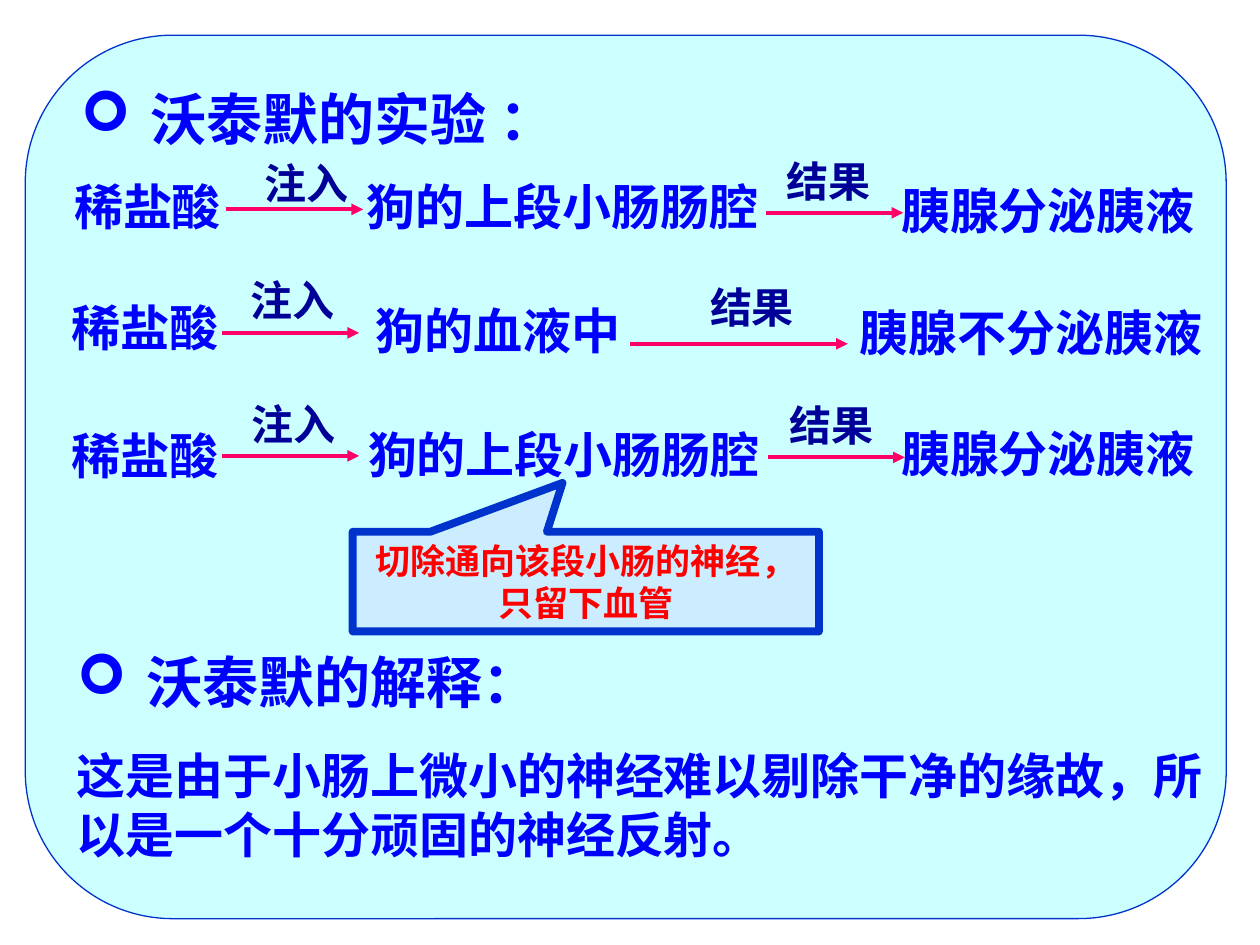
from typing import NamedTuple

from lxml.etree import SubElement
from pptx import Presentation
from pptx.dml.color import RGBColor
from pptx.enum.shapes import MSO_CONNECTOR as Conn, MSO_SHAPE as Shape
from pptx.enum.text import MSO_ANCHOR as Anchor, PP_ALIGN as Align
from pptx.oxml.ns import qn
from pptx.util import Cm, Pt

WHITE = RGBColor(0xFF, 0xFF, 0xFF)
CYAN = RGBColor(0xCC, 0xFF, 0xFF)
PALE_BLUE = RGBColor(0xCC, 0xEC, 0xFF)
BORDER = RGBColor(0x00, 0x33, 0xCC)
BLUE = RGBColor(0x00, 0x00, 0xFF)
NAVY = RGBColor(0x00, 0x00, 0x99)
PINK = RGBColor(0xFF, 0x00, 0x66)
RED = RGBColor(0xFF, 0x00, 0x00)
SANS = "Noto Sans CJK SC"
SERIF = "Times New Roman"


class Term(NamedTuple):
    text: str
    left: float
    top: float
    width: float


class Step(NamedTuple):
    text: str
    left: float
    top: float
    start: float
    end: float
    y: float


TERMS = [
    Term("稀盐酸", 1.07, 3.43, 3.81),
    Term("狗的上段小肠肠腔", 6.99, 3.43, 8.69),
    Term("胰腺分泌胰液", 17.53, 3.51, 7.19),
    Term("稀盐酸", 1.02, 5.87, 3.81),
    Term("狗的血液中", 6.96, 5.94, 6.15),
    Term("胰腺不分泌胰液", 16.87, 5.97, 7.82),
    Term("稀盐酸", 1.02, 8.46, 3.81),
    Term("狗的上段小肠肠腔", 6.96, 8.43, 8.81),
    Term("胰腺分泌胰液", 17.53, 8.41, 7.19),
]
STEPS = [
    Step("注入", 4.9, 3.05, 4.55, 7.32, 4.22),
    Step("结果", 15.44, 3.02, 15.44, 18.21, 4.29),
    Step("注入", 4.62, 5.41, 4.47, 7.24, 6.71),
    Step("结果", 13.89, 5.56, 12.7, 17.09, 6.93),
    Step("注入", 4.65, 7.9, 4.47, 7.24, 9.19),
    Step("结果", 15.49, 7.92, 15.49, 18.24, 9.22),
]


def add_run(p, text: str, size: int, color: RGBColor, font: str = SANS) -> None:
    r = p.add_run()
    r.text = text
    r.font.size = Pt(size)
    r.font.bold = True
    r.font.name = font
    r.font.color.rgb = color
    SubElement(r.font._element, qn("a:ea")).set("typeface", SANS)


def add_heading(p, text: str) -> None:
    p.alignment = Align.LEFT
    pPr = p._p.get_or_add_pPr()
    pPr.set("marL", str(Cm(1.4)))
    pPr.set("indent", str(-Cm(1.4)))
    color = SubElement(SubElement(pPr, qn("a:buClr")), qn("a:srgbClr"))
    color.set("val", str(BLUE))
    SubElement(pPr, qn("a:buFont")).set("typeface", "Wingdings")
    SubElement(pPr, qn("a:buChar")).set("char", "➢")
    add_run(p, text, 32, BLUE, SERIF)


def add_panel(s, kind: Shape, box: tuple, adjustments: list,
              fill: RGBColor, weight: float, anchor: Anchor):
    sp = s.shapes.add_shape(kind, *map(Cm, box))
    for i, value in enumerate(adjustments):
        sp.adjustments[i] = value
    sp.shadow.inherit = False
    sp.fill.solid()
    sp.fill.fore_color.rgb = fill
    sp.line.color.rgb = BORDER
    sp.line.width = Pt(weight)
    sp.text_frame.word_wrap = True
    sp.text_frame.vertical_anchor = anchor
    return sp.text_frame


def add_box(s, left: float, top: float, width: float, height: float):
    tf = s.shapes.add_textbox(Cm(left), Cm(top), Cm(width), Cm(height)).text_frame
    tf.word_wrap = True
    return tf


def add_label(s, text: str, box: tuple, size: int, color: RGBColor) -> None:
    p = add_box(s, *box).paragraphs[0]
    p.alignment = Align.CENTER
    add_run(p, text, size, color)


def add_step(s, step: Step) -> None:
    add_label(s, step.text, (step.left, step.top, 2.54, 1.27), 24, NAVY)
    line = s.shapes.add_connector(
        Conn.STRAIGHT, Cm(step.start), Cm(step.y), Cm(step.end), Cm(step.y))
    line.line.color.rgb = PINK
    line.line.width = Pt(2.25)
    SubElement(line.line._get_or_add_ln(), qn("a:tailEnd")).set("type", "triangle")
    SubElement(line._element.spPr, qn("a:effectLst"))


def main() -> None:
    prs = Presentation()
    prs.slide_width, prs.slide_height = Cm(25.4), Cm(19.05)
    s = prs.slides.add_slide(prs.slide_layouts[6])
    s.background.fill.solid()
    s.background.fill.fore_color.rgb = WHITE

    tf = add_panel(s, Shape.ROUNDED_RECTANGLE, (0.51, 0.71, 24.21, 17.81),
                   [0.167], CYAN, 0.75, Anchor.TOP)
    add_heading(tf.paragraphs[0], "沃泰默的实验 ：")

    for term in TERMS:
        add_label(s, term.text, (term.left, term.top, term.width, 1.45), 28, BLUE)
    for step in STEPS:
        add_step(s, step)

    tf = add_box(s, 1.3, 12.93, 23.22, 4.6)
    add_heading(tf.paragraphs[0], "沃泰默的解释：")
    p = tf.add_paragraph()
    p.space_before = Pt(17.5)
    add_run(p, "这是由于小肠上微小的神经难以剔除干净的缘故，所以是一个十分顽固的神经反射。",
            28, BLUE)

    tf = add_panel(s, Shape.RECTANGULAR_CALLOUT, (7.11, 10.72, 9.4, 2.01),
                   [-0.05, -0.99], PALE_BLUE, 4.5, Anchor.MIDDLE)
    p = tf.paragraphs[0]
    p.alignment = Align.CENTER
    add_run(p, "切除通向该段小肠的神经，只留下血管", 20, RED)

    prs.save("out.pptx")


if __name__ == "__main__":
    main()
